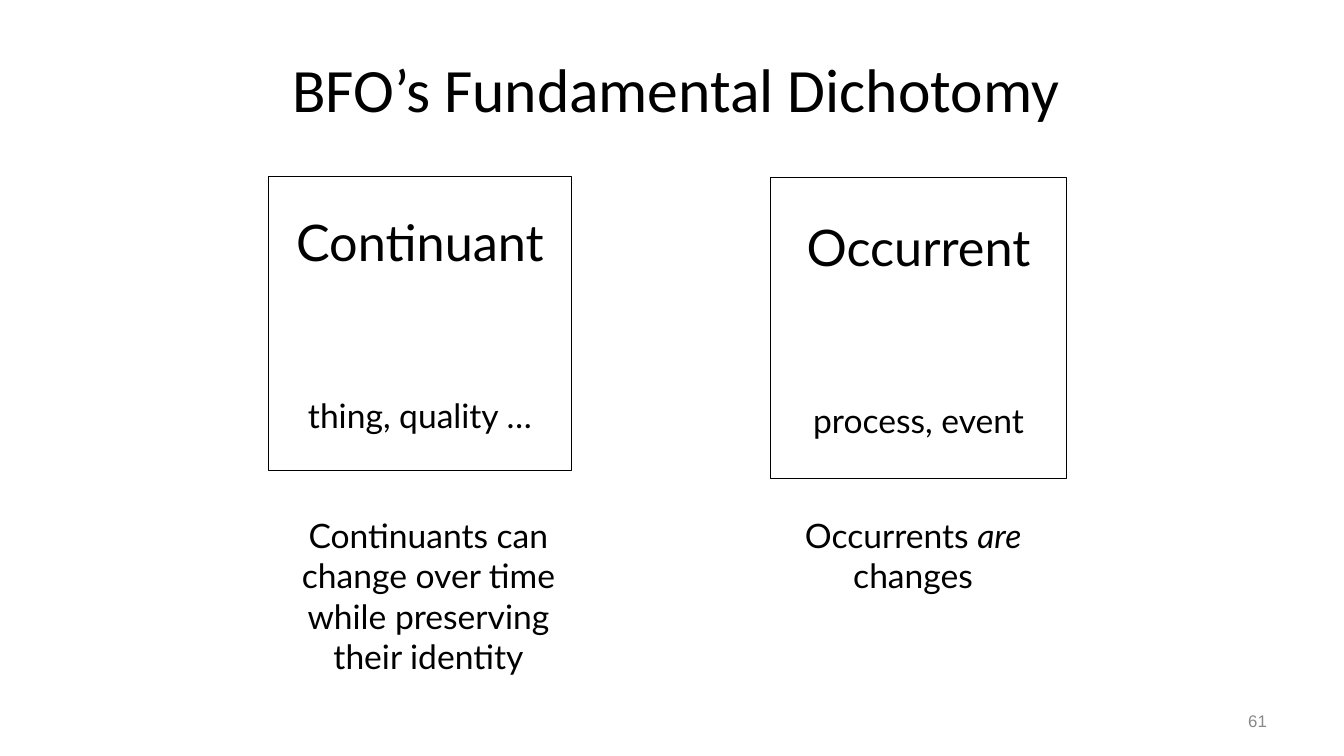
from pptx import Presentation
from pptx.dml.color import RGBColor
from pptx.enum.shapes import MSO_SHAPE
from pptx.enum.text import MSO_ANCHOR, MSO_AUTO_SIZE, PP_ALIGN
from pptx.util import Inches, Pt

COLORS = {"ink": "000000", "paper": "FFFFFF", "muted": "898989"}
COLUMNS, ROWS = 160, 90
CELL = Inches(1) / 12
LEFT_COLUMN, RIGHT_COLUMN = 32, 91.7
CAPTION_ROW, CAPTION_WIDTH = 60.7, 34


def cells(*counts):
    """Turn counts of grid cells into lengths."""
    return [round(count * CELL) for count in counts]


def rgb(name):
    return RGBColor.from_string(COLORS[name])


def write(paragraph, runs, size, font="Lato", color="ink", align=PP_ALIGN.CENTER):
    """Fill a paragraph with (text, italic) runs."""
    paragraph.alignment = align
    for text, italic in runs:
        run = paragraph.add_run()
        run.text = text
        run.font.name = font
        run.font.size = Pt(size)
        run.font.italic = italic
        run.font.color.rgb = rgb(color)


def add_title(slide, text):
    title = slide.shapes.title
    title.left, title.top, title.width, title.height = cells(25, 3, 111, 15)
    title.text_frame.vertical_anchor = MSO_ANCHOR.MIDDLE
    write(title.text_frame.paragraphs[0], [(text, False)], 44, "Calibri")


def add_category(slide, area, name, examples):
    """Draw a framed category with its name above its examples."""
    category = slide.shapes.add_shape(MSO_SHAPE.RECTANGLE, *cells(*area))
    category.shadow.inherit = False
    category.fill.background()
    category.line.color.rgb = rgb("ink")
    category.line.width = Pt(0.75)
    frame = category.text_frame
    frame.word_wrap = False
    frame.vertical_anchor = MSO_ANCHOR.MIDDLE
    write(frame.paragraphs[0], [(name, False)], 36)
    examples_line = frame.add_paragraph()
    examples_line.space_before = Pt(88)
    write(examples_line, [(examples, False)], 24)


def add_caption(slide, column, rows, runs):
    caption = slide.shapes.add_textbox(*cells(column, CAPTION_ROW, CAPTION_WIDTH, rows))
    frame = caption.text_frame
    frame.word_wrap = True
    frame.auto_size = MSO_AUTO_SIZE.SHAPE_TO_FIT_TEXT
    write(frame.paragraphs[0], runs, 24)


def add_page_number(slide, number):
    page = slide.shapes.add_textbox(*cells(114.7, 83.4, 37.3, 4.8))
    page.text_frame.word_wrap = True
    page.text_frame.vertical_anchor = MSO_ANCHOR.MIDDLE
    write(page.text_frame.paragraphs[0], [(number, False)], 12, "Arial", "muted",
          PP_ALIGN.RIGHT)


def main():
    deck = Presentation()
    deck.slide_width, deck.slide_height = cells(COLUMNS, ROWS)
    slide = deck.slides.add_slide(deck.slide_layouts[5])
    slide.background.fill.solid()
    slide.background.fill.fore_color.rgb = rgb("paper")

    add_title(slide, "BFO’s Fundamental Dichotomy")
    add_category(slide, (LEFT_COLUMN, 21, 36, 35), "Continuant", "thing, quality …")
    add_category(slide, (RIGHT_COLUMN, 21.1, 35.3, 35.9), "Occurrent", "process, event")
    add_caption(slide, LEFT_COLUMN + 2, 20.6, [
        ("Continuants can change over time while preserving their identity", False)])
    add_caption(slide, RIGHT_COLUMN, 10.9, [
        ("Occurrents ", False), ("are ", True), ("changes", False)])
    add_page_number(slide, "61")
    deck.save("out.pptx")


if __name__ == "__main__":
    main()
